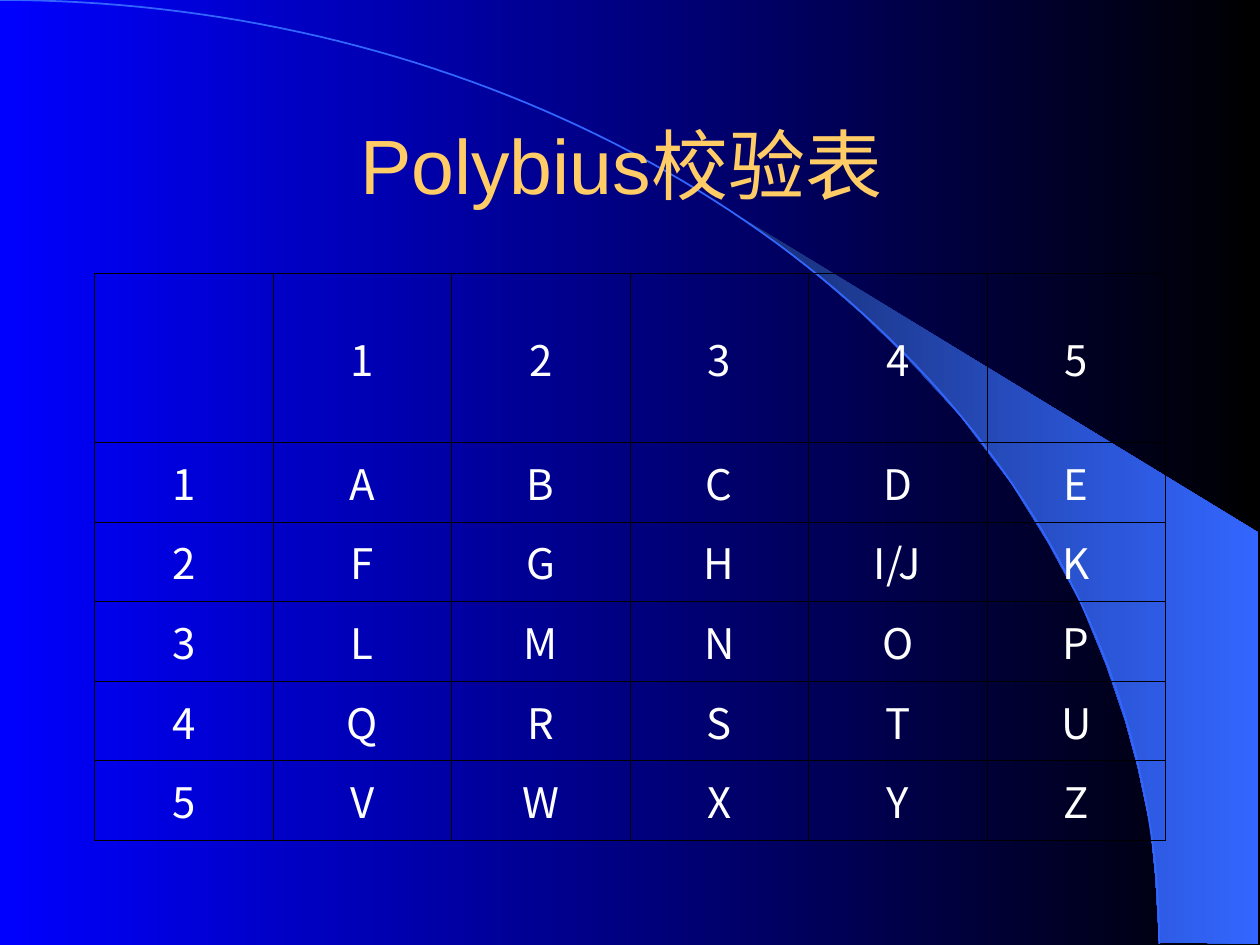
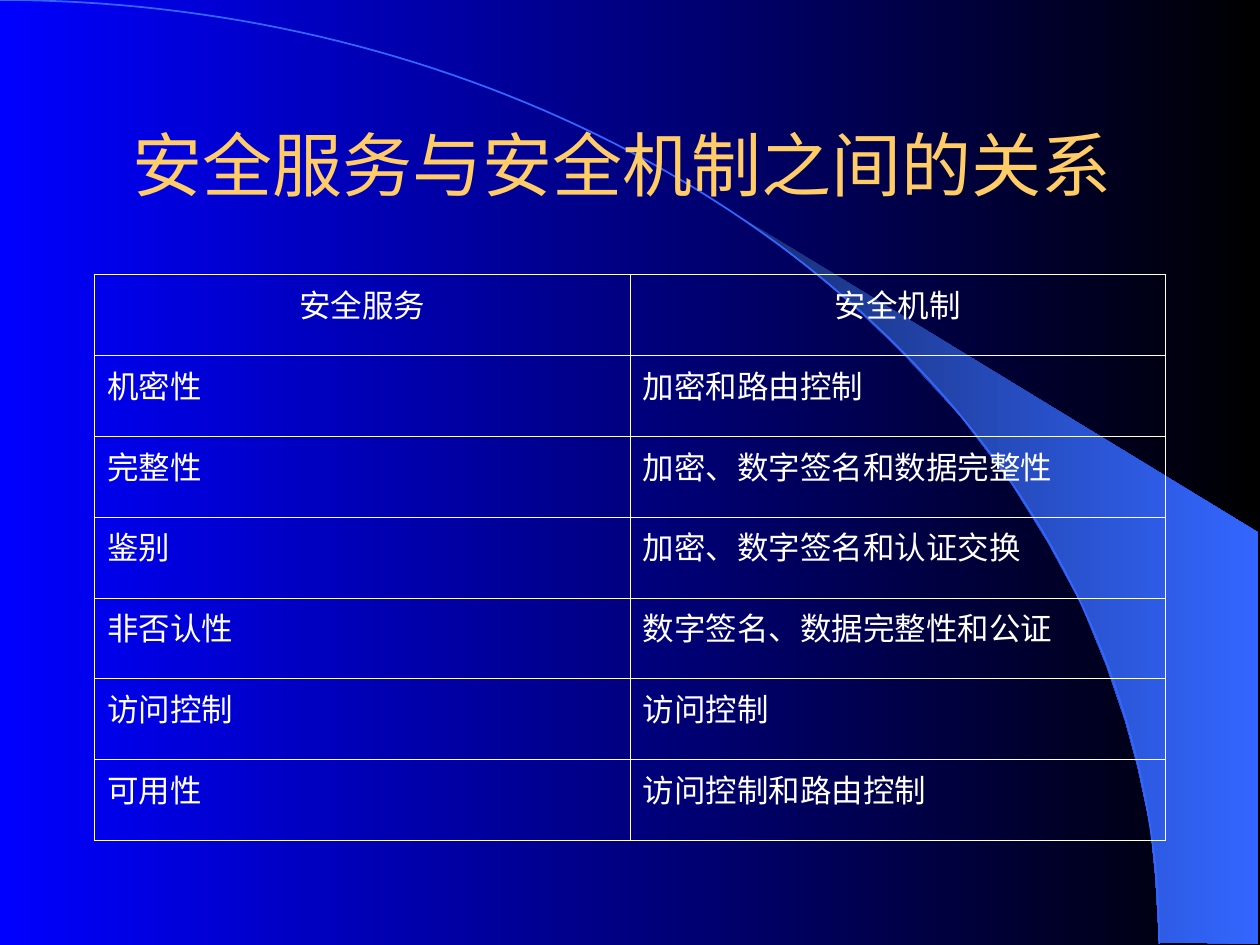
import math

import lxml.etree
import pptx
import pptx.dml.color
import pptx.enum.text
import pptx.oxml.ns
import pptx.util

Inches = pptx.util.Inches
ALIGN = pptx.enum.text.PP_ALIGN
ANCHOR = pptx.enum.text.MSO_ANCHOR

COLORS = {
    "blue": "0000FF",
    "black": "000000",
    "beam_dark": "182F76",
    "beam_light": "3366FF",
    "title": "FFCC66",
    "white": "FFFFFF",
}
LATIN_FONT = "Arial"
CHINESE_FONT = "Noto Sans CJK SC"

ARC_WIDTH, ARC_HEIGHT = 9.2, 7.49
ARC_STEPS = 90
BEAM_POINTS = [
    (9.2, 7.48), (9.99, 7.49), (9.99, 4.23), (5.89, 1.73), (6.24, 1.99),
    (6.53, 2.22), (6.85, 2.5), (7.16, 2.8), (7.62, 3.3), (8.03, 3.84),
    (8.32, 4.31), (8.58, 4.79), (8.78, 5.28), (8.93, 5.72), (9.03, 6.09),
    (9.13, 6.56), (9.17, 6.96),
]

CONTENT_LEFT, CONTENT_WIDTH = 0.75, 8.5
THIN, THICK = 0.45, 0.96

POLYBIUS_ROWS = [
    ["", "1", "2", "3", "4", "5"],
    ["1", "A", "B", "C", "D", "E"],
    ["2", "F", "G", "H", "I/J", "K"],
    ["3", "L", "M", "N", "O", "P"],
    ["4", "Q", "R", "S", "T", "U"],
    ["5", "V", "W", "X", "Y", "Z"],
]
SERVICE_ROWS = [
    ["安全服务", "安全机制"],
    ["机密性", "加密和路由控制"],
    ["完整性", "加密、数字签名和数据完整性"],
    ["鉴别", "加密、数字签名和认证交换"],
    ["非否认性", "数字签名、数据完整性和公证"],
    ["访问控制", "访问控制"],
    ["可用性", "访问控制和路由控制"],
]


def rgb(color):
    return pptx.dml.color.RGBColor.from_string(COLORS[color])


def set_attributes(target, values):
    for name, value in values.items():
        setattr(target, name, value)


def add_element(parent, tag, **attributes):
    return lxml.etree.SubElement(parent, pptx.oxml.ns.qn(tag), attributes)


def fill_gradient(fill, *colors):
    """Fill from left to right with two colours."""
    fill.gradient()
    fill.gradient_angle = 0
    for stop, color in zip(fill.gradient_stops, colors):
        stop.color.rgb = rgb(color)


def add_freeform(slide, points, close):
    start, *others = [(Inches(x), Inches(y)) for x, y in points]
    builder = slide.shapes.build_freeform(*start)
    builder.add_line_segments(others, close=close)
    shape = builder.convert_to_shape()
    shape.shadow.inherit = False
    return shape


def add_beam(slide):
    beam = add_freeform(slide, BEAM_POINTS, close=True)
    fill_gradient(beam.fill, "beam_dark", "beam_light")
    beam.line.fill.background()


def add_arc(slide):
    """Draw a quarter ellipse centred on the lower left corner."""
    angles = [math.pi / 2 * step / ARC_STEPS for step in range(ARC_STEPS + 1)]
    points = [(ARC_WIDTH * math.sin(angle), ARC_HEIGHT * (1 - math.cos(angle)))
              for angle in angles]
    arc = add_freeform(slide, points, close=False)
    arc.fill.background()
    arc.line.color.rgb = rgb("beam_light")
    arc.line.width = pptx.util.Pt(1)


def write_text(paragraph, text, font_name, size, color, alignment):
    paragraph.alignment = alignment
    run = paragraph.add_run()
    run.text = text
    set_attributes(run.font, {"name": font_name, "size": pptx.util.Pt(size)})
    run.font.color.rgb = rgb(color)
    add_element(run.font._element, "a:ea", typeface=CHINESE_FONT)


def add_title(slide, text, size):
    box = slide.shapes.add_textbox(Inches(CONTENT_LEFT), Inches(0.67),
                                   Inches(CONTENT_WIDTH), Inches(1.25))
    set_attributes(box.text_frame,
                   {"word_wrap": True, "vertical_anchor": ANCHOR.MIDDLE})
    write_text(box.text_frame.paragraphs[0], text, LATIN_FONT, size,
               "title", ALIGN.CENTER)


def set_borders(cell, color, widths):
    """Set borders; widths are points for left, right, top and bottom."""
    properties = cell._tc.get_or_add_tcPr()
    for side, width in zip("LRTB", widths):
        line = add_element(properties, f"a:ln{side}",
                           w=str(pptx.util.Pt(width)))
        fill = add_element(line, "a:solidFill")
        add_element(fill, "a:srgbClr", val=COLORS[color])


def add_grid(slide, rows, top, row_heights, size, anchor, body_alignment,
             border_color, outer_width):
    row_count, column_count = len(rows), len(rows[0])
    table = slide.shapes.add_table(
        row_count, column_count, Inches(CONTENT_LEFT), Inches(top),
        Inches(CONTENT_WIDTH), Inches(sum(row_heights))).table
    set_attributes(table, {"first_row": False, "horz_banding": False})
    for column in table.columns:
        column.width = Inches(CONTENT_WIDTH / column_count)
    for row, height in zip(table.rows, row_heights):
        row.height = Inches(height)

    for row_index, texts in enumerate(rows):
        for column_index, text in enumerate(texts):
            cell = table.cell(row_index, column_index)
            on_edge = (column_index == 0, column_index == column_count - 1,
                       row_index == 0, row_index == row_count - 1)
            set_borders(cell, border_color,
                        [outer_width if edge else THIN for edge in on_edge])
            cell.fill.background()
            cell.vertical_anchor = anchor
            if text:
                alignment = ALIGN.CENTER if row_index == 0 else body_alignment
                write_text(cell.text_frame.paragraphs[0], text, CHINESE_FONT,
                           size, "white", alignment)


def add_themed_slide(presentation, title, title_size):
    slide = presentation.slides.add_slide(presentation.slide_layouts[6])
    add_beam(slide)
    add_arc(slide)
    add_title(slide, title, title_size)
    return slide


def main():
    presentation = pptx.Presentation()
    set_attributes(presentation, {"slide_width": Inches(10),
                                  "slide_height": Inches(7.5)})
    fill_gradient(presentation.slide_master.background.fill, "blue", "black")

    slide = add_themed_slide(presentation, "Polybius校验表 ", 44)
    add_grid(slide, POLYBIUS_ROWS, 2.17, [1.34] + [3.16 / 5] * 5, 24,
             ANCHOR.MIDDLE, ALIGN.CENTER, "black", THICK)

    slide = add_themed_slide(presentation, "安全服务与安全机制之间的关系 ", 40)
    add_grid(slide, SERVICE_ROWS, 2.18, [4.49 / 7] * 7, 18,
             ANCHOR.TOP, ALIGN.LEFT, "white", THIN)

    presentation.save("out.pptx")


if __name__ == "__main__":
    main()
